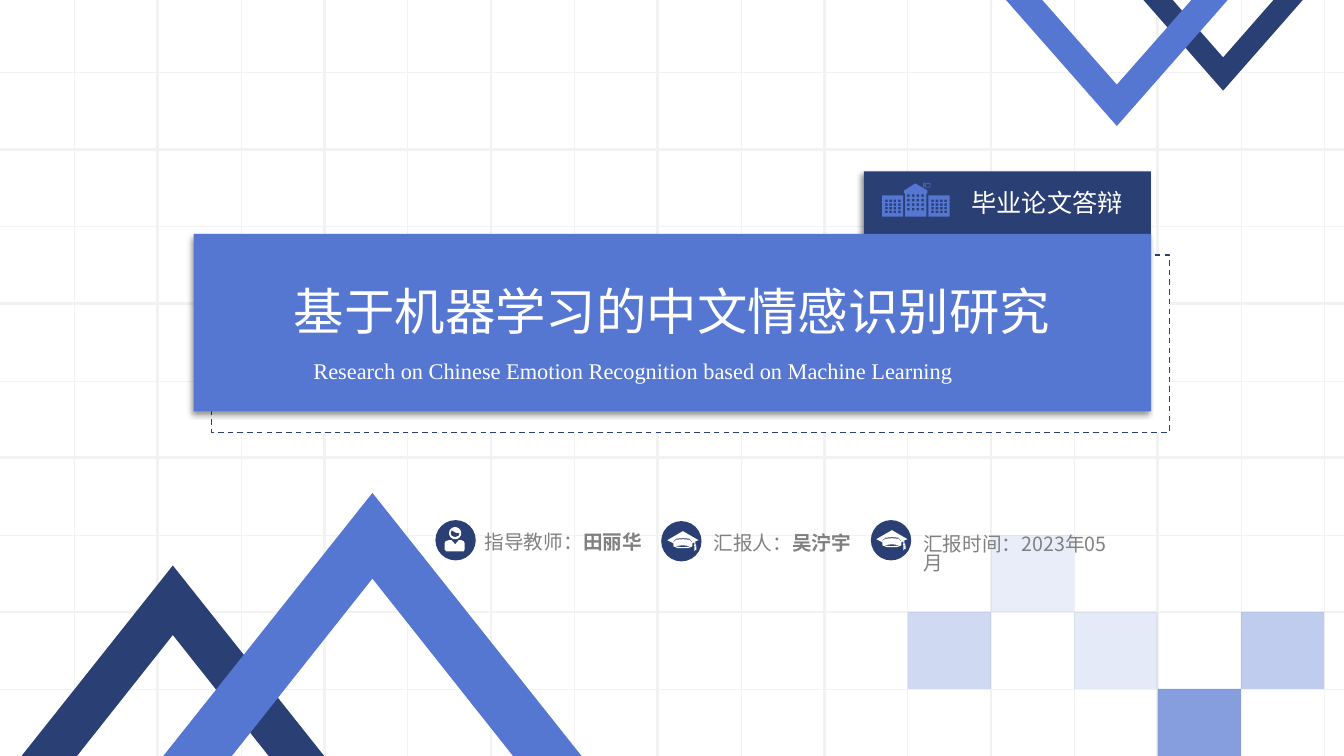
from itertools import product
from math import cos, pi, sin

from lxml.etree import SubElement
from pptx import Presentation
from pptx.dml.color import RGBColor
from pptx.enum.dml import MSO_LINE
from pptx.enum.shapes import MSO_CONNECTOR, MSO_SHAPE as Shape
from pptx.enum.text import MSO_ANCHOR as Anchor, MSO_AUTO_SIZE as Fit, PP_ALIGN as Align
from pptx.oxml.ns import qn
from pptx.util import Inches, Pt

WIDTH, HEIGHT = Inches(13.333), Inches(7.5)
PERCENT = (WIDTH / 100, HEIGHT / 100)
ICON_UNIT = (WIDTH / 1333, WIDTH / 1333)
GRID_LEFT, GRID_TOP = 5.53, 9.62
GRID_COL, GRID_ROW = 6.2, 10.19
COLORS = {"navy": "2A3F74", "blue": "5577D1", "white": "FFFFFF", "gray": "808080",
          "grid": "F2F2F2", "shadow": "000000"}
SANS, TITLE_SANS, SERIF = "Noto Sans CJK SC", "Noto Sans CJK JP", "Times New Roman"


def rgb(name):
    """Return a palette colour."""
    return RGBColor.from_string(COLORS[name])


def frame(left, top, width, height):
    """Turn percentages of the slide into left, top, width and height."""
    across, down = PERCENT
    return [round(n) for n in (left * across, top * down, width * across, height * down)]


def grid_line(page, start, end, points):
    """Draw one background line between two points in percent."""
    x1, y1, x2, y2 = frame(*start, *end)
    line = page.shapes.add_connector(MSO_CONNECTOR.STRAIGHT, x1, y1, x2, y2)
    line.line.color.rgb = rgb("grid")
    line.line.width = Pt(points)
    SubElement(line.element.spPr, qn("a:effectLst"))


def background_grid(page):
    """Rule the page with alternating thin and thick lines."""
    for row in range(9):
        y = GRID_TOP + row * GRID_ROW
        grid_line(page, (0, y), (100, y), 2 if row % 2 else 0.5)
    for col in range(16):
        x = GRID_LEFT + col * GRID_COL
        grid_line(page, (x, 0), (x, 100), 2 if col % 2 and col < 15 else 0.5)


def panel(page, kind, box, fill, alpha=None):
    """Add a filled shape without outline, optionally translucent."""
    shape = page.shapes.add_shape(kind, *frame(*box))
    shape.shadow.inherit = False
    shape.fill.solid()
    shape.fill.fore_color.rgb = rgb(fill)
    shape.line.fill.background()
    if kind in (Shape.ROUNDED_RECTANGLE, Shape.ROUND_1_RECTANGLE):
        shape.adjustments[0] = 0
    if alpha:
        color = shape.element.spPr.find(qn("a:solidFill"))[0]
        SubElement(color, qn("a:alpha"), val=str(alpha * 1000))
    return shape


def cast_shadow(shape):
    """Give a panel a soft shadow to the lower left."""
    effects = shape.element.spPr.find(qn("a:effectLst"))
    outer = SubElement(effects, qn("a:outerShdw"), blurRad=str(Pt(4)), dist=str(Pt(3)),
                       dir=str(135 * 60000), algn="tr", rotWithShape="0")
    color = SubElement(outer, qn("a:srgbClr"), val=COLORS["shadow"])
    SubElement(color, qn("a:alpha"), val="40000")


def outline(page, contours, fill, origin=(0, 0), unit=PERCENT):
    """Draw closed contours as one shape from an origin in percent."""
    left, top, *_ = frame(*origin, 0, 0)
    paths = [[(round(left + x * unit[0]), round(top + y * unit[1])) for x, y in contour]
             for contour in contours]
    builder = page.shapes.build_freeform(*paths[0][0])
    for number, points in enumerate(paths):
        if number:
            builder.move_to(*points[0])
        builder.add_line_segments(points[1:], close=True)
    shape = builder.convert_to_shape()
    shape.shadow.inherit = False
    shape.fill.solid()
    shape.fill.fore_color.rgb = rgb(fill)
    shape.line.fill.background()


def chevron(page, fill, center, base, outer, inner):
    """Draw an open triangle band; outer and inner are half width and apex."""
    points = [(center - outer[0], base), (center, outer[1]), (center + outer[0], base),
              (center + inner[0], base), (center, inner[1]), (center - inner[0], base)]
    outline(page, [points], fill)


def write(box, spans, size, font, color, align=Align.LEFT, wrap=True, spacing=None):
    """Fill a text shape with (text, bold) runs."""
    text = box.text_frame
    text.auto_size = Fit.NONE
    text.word_wrap = wrap
    text.vertical_anchor = Anchor.MIDDLE
    text.margin_top = text.margin_bottom = 0
    para = text.paragraphs[0]
    para.alignment = align
    if spacing:
        para.line_spacing = spacing
    for words, bold in spans:
        span = para.add_run()
        span.text = words
        span.font.size = Pt(size)
        span.font.name = font
        span.font.bold = bold
        span.font.color.rgb = rgb(color)
        SubElement(span.font._element, qn("a:ea"), typeface=font)


def label(page, box, *args, **options):
    """Add a text box."""
    write(page.shapes.add_textbox(*frame(*box)), *args, **options)


def heading(page, box, *args, **options):
    """Bring the title placeholder to the front, place it and fill it."""
    title = page.shapes.title
    title.element.getparent().append(title.element)
    title.left, title.top, title.width, title.height = frame(*box)
    write(title, *args, **options)


def rect(left, top, width, height):
    """Return the corners of a rectangle."""
    return [(left, top), (left + width, top), (left + width, top + height), (left, top + height)]


def windows(left, top, pitch_x, pitch_y):
    """Return a four by four block of window contours."""
    return [rect(left + col * pitch_x, top + row * pitch_y, 2.5, 2.5)
            for row, col in product(range(4), repeat=2)]


def school_icon():
    """Return the contours of a school with two wings and a flag."""
    tower = [(22, 8), (33, 1), (45, 8), (45, 11), (44, 11), (44, 34), (23, 34), (23, 11), (22, 11)]
    return [tower, rect(0, 13, 21, 21), rect(46, 13, 21, 21), rect(41, 0, 1, 5),
            rect(43, 1, 5, 4), rect(43.5, 1.5, 4, 3),
            *windows(3, 17, 4.3, 3.7), *windows(49, 17, 4.3, 3.7), *windows(25, 12, 4.7, 4.4)]


def person_icon():
    """Return the contours of a head with a face and a body."""
    head = [(10.5 + 6 * cos(n * pi / 18), 6 + 6 * sin(n * pi / 18)) for n in range(36)]
    face = [(7, 3), (6, 6), (7, 8.5), (10.5, 10), (14, 8.5), (15, 6), (11, 5.5)]
    body = [(4, 13), (7, 13), (10.5, 17), (14, 13), (17, 13), (19, 14), (20, 16), (20, 22),
            (19, 24), (2, 24), (0, 22), (0, 16), (1, 14)]
    return [head, face, body]


def cap_icon():
    """Return the contours of a graduation cap."""
    board = [(28, 13), (28, 10), (31, 9), (15.5, 0), (0, 9), (6, 12), (6, 15), (10, 16.7),
             (15.5, 17), (21, 16.7), (25, 15), (25, 12), (27, 11), (27, 13), (26.5, 14.5),
             (27.5, 15), (29, 14)]
    band = [(24.5, 11), (22, 8.5), (15.5, 8), (9, 8.5), (6, 11), (6, 10), (9, 7.5),
            (15.5, 7), (22, 7.5), (24.5, 10)]
    rim = [(7, 15), (15.5, 14), (24, 15), (15.5, 16)]
    tassel = [(27, 15), (27, 20), (28, 18.5), (29, 19), (29, 15)]
    return [board, band, rim, tassel]


def detail(page, left, top, icon, shift, text_box, spans, **options):
    """Add a round icon followed by its text."""
    panel(page, Shape.OVAL, (left, top, 3, 5.33), "navy")
    outline(page, icon, "white", (left + shift[0], top + shift[1]), ICON_UNIT)
    label(page, text_box, spans, 14, SANS, "gray", **options)


def main():
    """Build the cover slide."""
    deck = Presentation()
    deck.slide_width, deck.slide_height = WIDTH, HEIGHT
    page = deck.slides.add_slide(deck.slide_layouts[5])
    background_grid(page)
    for col, row, alpha in [(10, 7, 28), (11, 6, 13), (12, 7, 15), (13, 8, 71), (14, 7, 37)]:
        left, top = GRID_LEFT + col * GRID_COL, GRID_TOP + row * GRID_ROW
        panel(page, Shape.RECTANGLE, (left, top, GRID_COL, min(GRID_ROW, 100 - top)), "blue", alpha)

    cast_shadow(panel(page, Shape.ROUND_1_RECTANGLE, (64.28, 22.67, 21.35, 8.4), "navy"))
    dashed = panel(page, Shape.ROUNDED_RECTANGLE, (15.75, 33.73, 71.25, 23.47), "white")
    dashed.line.color.rgb = rgb("navy")
    dashed.line.width = Pt(1)
    dashed.line.dash_style = MSO_LINE.DASH
    cast_shadow(panel(page, Shape.ROUNDED_RECTANGLE, (14.4, 30.93, 71.25, 23.47), "blue"))
    heading(page, (17.18, 36.27, 65.63, 9.47), [("基于机器学习的中文情感识别研究", False)],
            36, TITLE_SANS, "white", align=Align.CENTER)
    label(page, (22.58, 46.53, 54.83, 4.93),
          [("Research on Chinese Emotion Recognition based on Machine Learning", False)],
          16, SERIF, "white", align=Align.JUSTIFY)

    chevron(page, "navy", 91.01, 0, (5.93, 12), (3.75, 7.6))
    chevron(page, "blue", 83.1, 0, (8.25, 16.67), (5.55, 11.2))
    chevron(page, "navy", 12.86, 100, (11.26, 74.8), (7.13, 84))
    chevron(page, "blue", 27.71, 100, (15.56, 65.2), (10.46, 76.53))

    outline(page, school_icon(), "blue", (65.63, 24.13), ICON_UNIT)
    label(page, (71.55, 24.13, 13.43, 5.33), [("毕业论文答辩", False)], 18, SANS, "white")
    detail(page, 32.4, 68.8, person_icon(), (0.68, 0.93), (35.33, 69.33, 13.2, 4.53),
           [("指导教师：", False), ("田丽华", True)], wrap=False)
    detail(page, 49.2, 68.93, cap_icon(), (0.45, 1.33), (52.35, 69.47, 11.78, 4.53),
           [("汇报人：", False), ("吴泞宇", True)], wrap=False)
    detail(page, 64.8, 68.8, cap_icon(), (0.4, 1.33), (67.95, 69.33, 16.05, 8.27),
           [("汇报时间：2023年05月", False)], spacing=0.81)
    deck.save("out.pptx")


if __name__ == "__main__":
    main()
